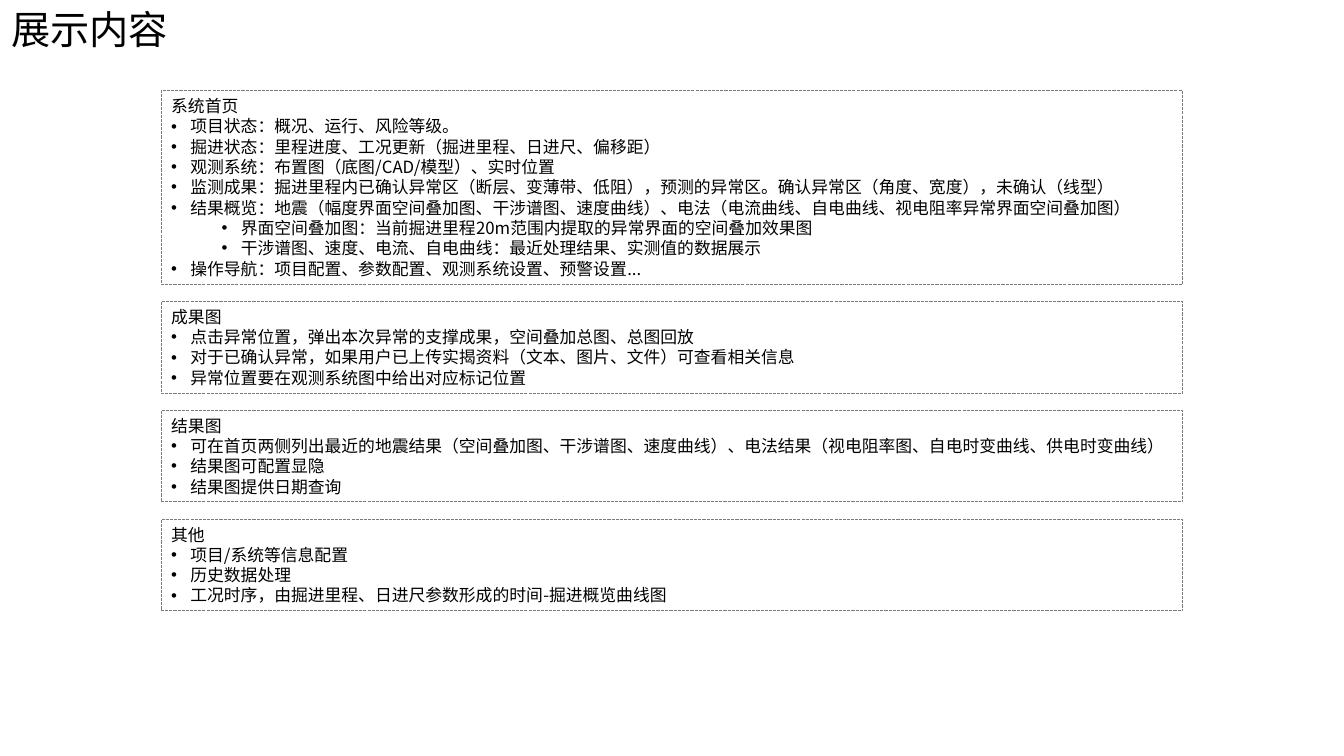
import pptx
import pptx.util
import pptx.dml.color
import pptx.enum.dml
import pptx.enum.shapes
import pptx.enum.text
import pptx.oxml.ns
import lxml.etree

Inches = pptx.util.Inches
Pt = pptx.util.Pt

FONT = "Noto Sans CJK SC"
COLORS = {"text": "000000", "line": "7A7A7A"}

# Each panel: heading, then (level, text) bullets
PANELS = [
    ("系统首页", [
        (0, "项目状态：概况、运行、风险等级。"),
        (0, "掘进状态：里程进度、工况更新（掘进里程、日进尺、偏移距）"),
        (0, "观测系统：布置图（底图/CAD/模型）、实时位置"),
        (0, "监测成果：掘进里程内已确认异常区（断层、变薄带、低阻），预测的异常区。"
            "确认异常区（角度、宽度），未确认（线型）"),
        (0, "结果概览：地震（幅度界面空间叠加图、干涉谱图、速度曲线）、"
            "电法（电流曲线、自电曲线、视电阻率异常界面空间叠加图）"),
        (1, "界面空间叠加图：当前掘进里程20m范围内提取的异常界面的空间叠加效果图"),
        (1, "干涉谱图、速度、电流、自电曲线：最近处理结果、实测值的数据展示"),
        (0, "操作导航：项目配置、参数配置、观测系统设置、预警设置..."),
    ]),
    ("成果图", [
        (0, "点击异常位置，弹出本次异常的支撑成果，空间叠加总图、总图回放"),
        (0, "对于已确认异常，如果用户已上传实揭资料（文本、图片、文件）可查看相关信息"),
        (0, "异常位置要在观测系统图中给出对应标记位置"),
    ]),
    ("结果图", [
        (0, "可在首页两侧列出最近的地震结果（空间叠加图、干涉谱图、速度曲线）、"
            "电法结果（视电阻率图、自电时变曲线、供电时变曲线）"),
        (0, "结果图可配置显隐"),
        (0, "结果图提供日期查询"),
    ]),
    ("其他", [
        (0, "项目/系统等信息配置"),
        (0, "历史数据处理"),
        (0, "工况时序，由掘进里程、日进尺参数形成的时间-掘进概览曲线图"),
    ]),
]


class Deck:
    """Holds the text style and the current slide."""

    frame = {
        "word_wrap": True,
        "auto_size": pptx.enum.text.MSO_AUTO_SIZE.SHAPE_TO_FIT_TEXT,
        "vertical_anchor": pptx.enum.text.MSO_ANCHOR.TOP,
        "margin_left": Inches(0.1), "margin_right": Inches(0.1),
        "margin_top": Inches(0.05), "margin_bottom": Inches(0.05),
    }
    para = {
        "alignment": pptx.enum.text.PP_ALIGN.LEFT,
        "space_before": Pt(0), "space_after": Pt(0),
    }

    def __init__(self, prs):
        self.slide = prs.slides.add_slide(prs.slide_layouts[5])

    def color(self, name):
        return pptx.dml.color.RGBColor.from_string(COLORS[name])

    def apply(self, item, style):
        for key, value in style.items():
            setattr(item, key, value)

    def label(self, par, text, size, pitch):
        self.apply(par, {**self.para, "line_spacing": Pt(pitch)})
        run = par.add_run()
        run.text = text
        self.apply(run.font, {"size": Pt(size), "name": FONT, "bold": False})
        run.font.color.rgb = self.color("text")
        # East Asian typeface
        props = run._r.get_or_add_rPr()
        lxml.etree.SubElement(props, pptx.oxml.ns.qn("a:ea"), typeface=FONT)

    def bullet(self, par, level):
        par.level = level
        props = par._p.get_or_add_pPr()
        props.set("marL", str(Inches(0.19 + 0.5 * level)))
        props.set("indent", str(-Inches(0.19)))
        for tag, values in (("a:buFont", {"typeface": "Arial"}),
                            ("a:buChar", {"char": "•"})):
            lxml.etree.SubElement(props, pptx.oxml.ns.qn(tag), values)

    def title(self, text, left, top, width, height):
        head = self.slide.shapes.title
        self.apply(head, {"left": Inches(left), "top": Inches(top),
                          "width": Inches(width), "height": Inches(height)})
        self.apply(head.text_frame, self.frame)
        self.label(head.text_frame.paragraphs[0], text, 28, 34)

    def panel(self, head, items, left, top, width, height):
        box = self.slide.shapes.add_shape(
            pptx.enum.shapes.MSO_SHAPE.RECTANGLE,
            Inches(left), Inches(top), Inches(width), Inches(height))
        box.shadow.inherit = False
        box.fill.background()
        box.line.color.rgb = self.color("line")
        self.apply(box.line, {"width": Pt(0.75),
                              "dash_style": pptx.enum.dml.MSO_LINE.SQUARE_DOT})
        self.apply(box.text_frame, self.frame)
        self.label(box.text_frame.paragraphs[0], head, 12, 14.5)
        for level, text in items:
            par = box.text_frame.add_paragraph()
            self.label(par, text, 12, 14.5)
            self.bullet(par, level)


def main():
    prs = pptx.Presentation()
    prs.slide_width, prs.slide_height = Inches(13.33), Inches(7.5)
    deck = Deck(prs)
    deck.title("展示内容", 0.01, 0, 4.84, 0.57)

    # Panels stack with equal gaps, as tall as their lines
    top, gap = 0.9, 0.17
    for head, items in PANELS:
        height = round(0.1 + 1.82 / 9 * (len(items) + 1), 2)
        deck.panel(head, items, 1.6, top, 10.13, height)
        top += height + gap

    prs.save("out.pptx")


if __name__ == "__main__":
    main()
